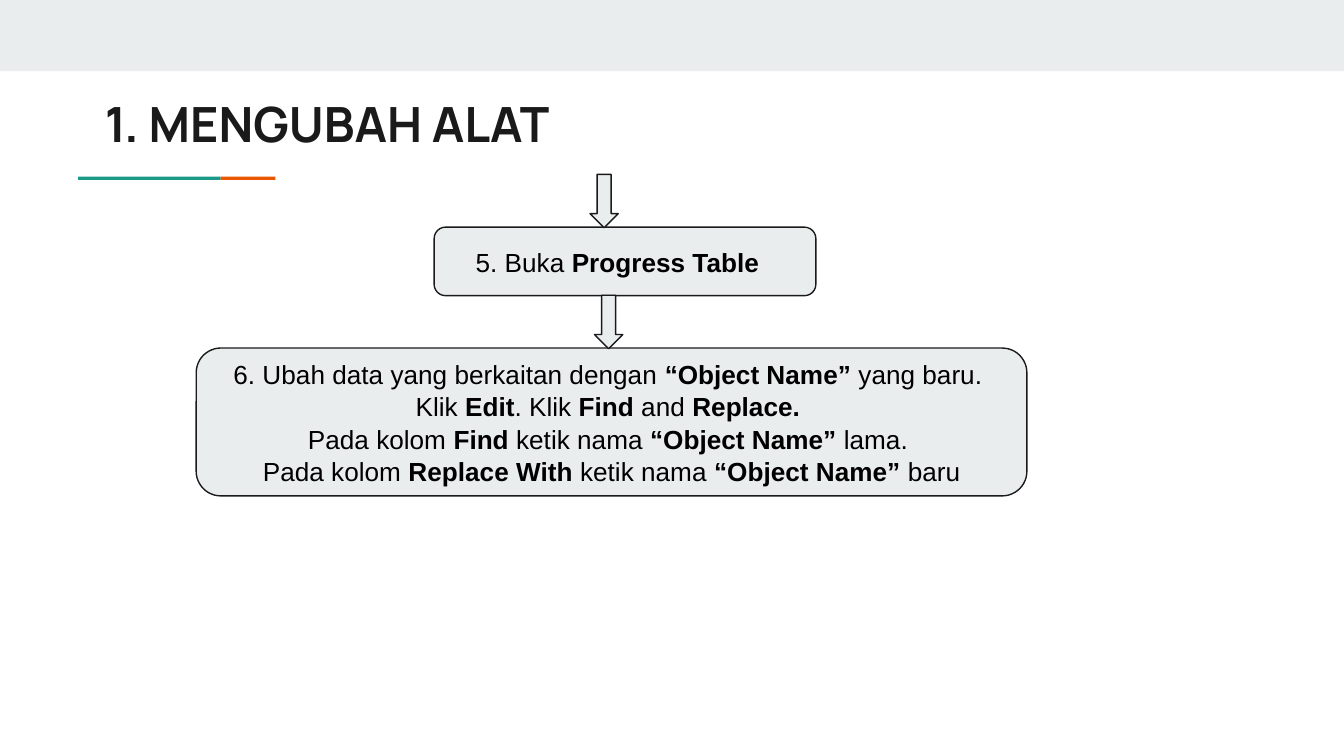
from pptx import Presentation
from pptx.dml.color import RGBColor
from pptx.enum import shapes, text
from pptx.util import Pt

INK = RGBColor(0x1A, 0x1A, 0x1A)
BLACK = RGBColor(0, 0, 0)
PALE = RGBColor(0xE9, 0xED, 0xEE)
GREEN = RGBColor(0x1A, 0x99, 0x88)
ORANGE = RGBColor(0xEB, 0x56, 0x00)
KIND = shapes.MSO_SHAPE

# Content: lines of (words, bold) runs
TITLE = "1. MENGUBAH ALAT"
OPEN = [[("5. Buka ", False), ("Progress Table", True)]]
EDIT = [
    [("6. Ubah data yang berkaitan dengan ", False),
     ("“Object Name”", True), (" yang baru. ", False)],
    [("Klik ", False), ("Edit", True), (". Klik ", False),
     ("Find", True), (" and ", False), ("Replace. ", True)],
    [("Pada kolom ", False), ("Find", True), (" ketik nama ", False),
     ("“Object Name”", True), (" lama. ", False)],
    [("Pada kolom ", False), ("Replace With ", True), ("ketik nama ", False),
     ("“Object Name”", True), (" baru", False)],
]
# Steps: left, top, width, height, right inset, lines
STEPS = [(232.6, 121.7, 204.5, 36.7, 15.2, OPEN),
         (105.1, 186.5, 445, 79.2, 7.2, EDIT)]
# Arrows: left; each one ends at the top of its step
ARROWS = [316.1, 318.5]
ARROW_W, ARROW_H = 15.1, 28.6
# Rule under the title: width, colour
RULE = [(76.4, GREEN), (29.3, ORANGE)]

prs = Presentation()
prs.slide_width, prs.slide_height = Pt(720), Pt(405)
slide = prs.slides.add_slide(prs.slide_layouts[5])


def draw(kind, left, top, width, height, fill, line=None):
    shape = slide.shapes.add_shape(
        kind, Pt(left), Pt(top), Pt(width), Pt(height))
    shape.shadow.inherit = False
    shape.fill.solid()
    shape.fill.fore_color.rgb = fill
    if line is None:
        shape.line.fill.background()
    else:
        shape.line.color.rgb = line
        shape.line.width = Pt(0.75)
    return shape


def pad(frame, right=7.2):
    frame.word_wrap = True
    frame.margin_left = frame.margin_top = frame.margin_bottom = Pt(7.2)
    frame.margin_right = Pt(right)


def add_run(para, words, size, face, color, bold):
    run = para.add_run()
    run.text = words
    font = run.font
    font.size, font.name, font.bold = Pt(size), face, bold
    font.color.rgb = color


# Top band and two-colour rule
draw(KIND.RECTANGLE, 0, 0, 720, 38.2, PALE)
left = 41.8
for width, color in RULE:
    draw(KIND.RECTANGLE, left, 94.7, width, 1.7, color)
    left += width

# Title
title = slide.shapes.title
title.left, title.top = Pt(49), Pt(43.2)
title.width, title.height = Pt(605.5), Pt(42.5)
frame = title.text_frame
pad(frame)
frame.auto_size = text.MSO_AUTO_SIZE.NONE
frame.vertical_anchor = text.MSO_ANCHOR.TOP
para = frame.paragraphs[0]
para.alignment = text.PP_ALIGN.LEFT
add_run(para, TITLE, 26, "Manrope", INK, True)

# Steps
for left, top, width, height, right, lines in STEPS:
    box = draw(KIND.ROUNDED_RECTANGLE, left, top, width, height, PALE, INK)
    frame = box.text_frame
    pad(frame, right)
    frame.vertical_anchor = text.MSO_ANCHOR.MIDDLE
    for i, line in enumerate(lines):
        para = frame.add_paragraph() if i else frame.paragraphs[0]
        para.alignment = text.PP_ALIGN.CENTER
        para.line_spacing = 1.04
        for words, bold in line:
            add_run(para, words, 14, "Arial", BLACK, bold)

# Arrows into the steps
for left, step in zip(ARROWS, STEPS):
    draw(KIND.DOWN_ARROW, left, step[1] + 0.3 - ARROW_H,
         ARROW_W, ARROW_H, PALE, INK)

prs.save("out.pptx")
